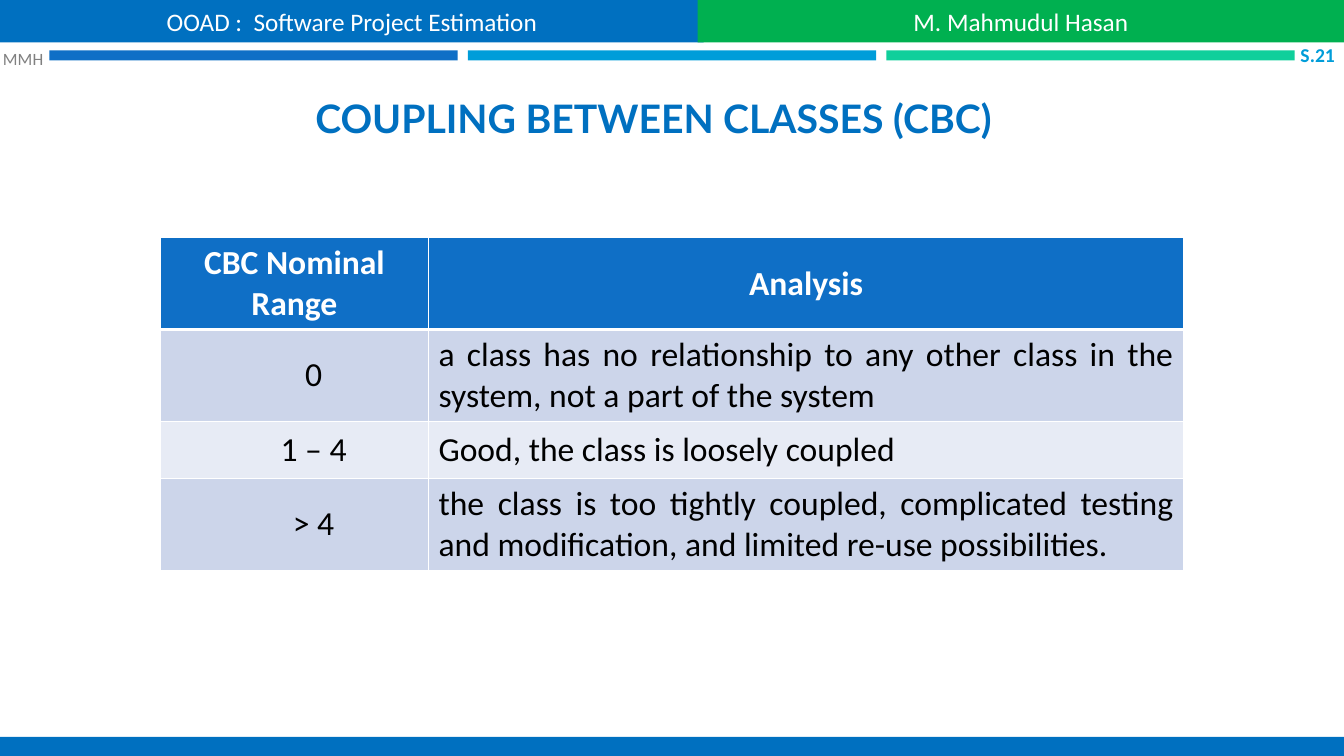
from dataclasses import dataclass
from lxml import etree
from pptx import Presentation
from pptx.dml.color import RGBColor
from pptx.enum.shapes import MSO_SHAPE
from pptx.enum.text import MSO_ANCHOR, PP_ALIGN
from pptx.oxml.ns import qn
from pptx.util import Inches, Pt

RECTANGLE = MSO_SHAPE.RECTANGLE
MIDDLE, BOTTOM = MSO_ANCHOR.MIDDLE, MSO_ANCHOR.BOTTOM
LEFT, CENTER, RIGHT, JUSTIFY = PP_ALIGN.LEFT, PP_ALIGN.CENTER, PP_ALIGN.RIGHT, PP_ALIGN.JUSTIFY


@dataclass(frozen=True)
class Theme:
    body_font: str = "Calibri"
    title_font: str = "Lato"
    blue: str = "0070C0"
    green: str = "00B050"
    deep_blue: str = "0F6FC6"
    sky: str = "009DD9"
    mint: str = "10CF9B"
    grey: str = "808080"
    white: str = "FFFFFF"
    black: str = "000000"
    band_dark: str = "CCD5EA"
    band_light: str = "E7EBF5"
    title_size: float = 28
    table_size: float = 24
    banner_size: float = 18
    number_size: float = 14
    initials_size: float = 12.3


THEME = Theme()

TITLE = "COUPLING BETWEEN CLASSES (CBC)"
BANNERS = [
    ("OOAD :  Software Project Estimation", 0, 6.98, THEME.blue),
    ("M. Mahmudul Hasan", 6.92, 6.41, THEME.green),
]
STRIPE_COLORS = [THEME.deep_blue, THEME.sky, THEME.mint]
MARGIN_LABELS = [
    ("MMH", (0.03, 0.43, 0.46, 0.3), LEFT, THEME.initials_size, THEME.grey, False),
    ("S.21", (12.8, 0.39, 0.44, 0.3), RIGHT, THEME.number_size, THEME.sky, True),
]
TABLE_ROWS = [
    ("CBC Nominal Range", "Analysis"),
    ("0", "a class has no relationship to any other class in the system, "
          "not a part of the system"),
    ("1 – 4", "Good, the class is loosely coupled"),
    ("> 4", "the class is too tightly coupled, complicated testing and modification, "
            "and limited re-use possibilities."),
]
COLUMN_WIDTHS = [2.66, 7.49]
ROW_HEIGHTS = [0.91, 0.91, 0.57, 0.91]
RANGE_INDENT = 0.48


def write(frame, text, size, color, align, bold=False, font=THEME.body_font, anchor=MIDDLE):
    frame.vertical_anchor = anchor
    paragraph = frame.paragraphs[0]
    paragraph.text = text
    paragraph.alignment = align
    paragraph.font.name = font
    paragraph.font.size = Pt(size)
    paragraph.font.bold = bold
    paragraph.font.color.rgb = RGBColor.from_string(color)


def add_bar(slide, left, top, width, height, color):
    shape = slide.shapes.add_shape(RECTANGLE, *map(Inches, (left, top, width, height)))
    shape.shadow.inherit = False
    shape.fill.solid()
    shape.fill.fore_color.rgb = RGBColor.from_string(color)
    shape.line.fill.background()
    return shape


def set_borders(cell, bottom_width, top_width):
    properties = cell._tc.get_or_add_tcPr()
    for side, width in (("L", 1), ("R", 1), ("T", top_width), ("B", bottom_width)):
        line = etree.SubElement(properties, qn(f"a:ln{side}"), w=str(Pt(width)))
        fill = etree.SubElement(line, qn("a:solidFill"))
        etree.SubElement(fill, qn("a:srgbClr"), val=THEME.white)


def add_range_table(slide):
    table = slide.shapes.add_table(
        len(TABLE_ROWS), len(COLUMN_WIDTHS), Inches(1.59), Inches(2.36),
        Inches(sum(COLUMN_WIDTHS)), Inches(sum(ROW_HEIGHTS))).table
    for column, width in zip(table.columns, COLUMN_WIDTHS):
        column.width = Inches(width)
    for row_index, (texts, height) in enumerate(zip(TABLE_ROWS, ROW_HEIGHTS)):
        table.rows[row_index].height = Inches(height)
        header = row_index == 0
        band = THEME.band_dark if row_index % 2 else THEME.band_light
        for column_index, text in enumerate(texts):
            cell = table.cell(row_index, column_index)
            set_borders(cell, 3 if header else 1, 3 if row_index == 1 else 1)
            cell.fill.solid()
            cell.fill.fore_color.rgb = RGBColor.from_string(THEME.deep_blue if header else band)
            cell.vertical_anchor = MIDDLE
            if not header and column_index == 0:
                cell.margin_left = Inches(RANGE_INDENT)
            write(cell.text_frame, text, THEME.table_size,
                  THEME.white if header else THEME.black,
                  CENTER if header or column_index == 0 else JUSTIFY, header)
            cell.vertical_anchor = MIDDLE


def main():
    presentation = Presentation()
    presentation.slide_width, presentation.slide_height = Inches(13.33), Inches(7.5)
    slide = presentation.slides.add_slide(presentation.slide_layouts[5])

    title = slide.shapes.title
    title.left, title.top, title.width, title.height = map(Inches, (0.45, 0.81, 12.06, 0.64))
    write(title.text_frame, TITLE, THEME.title_size, THEME.blue, CENTER, True,
          THEME.title_font, BOTTOM)

    for index, color in enumerate(STRIPE_COLORS):
        add_bar(slide, 0.49 + index * 4.15, 0.5, 4.05, 0.1, color)

    for text, box, align, size, color, bold in MARGIN_LABELS:
        frame = slide.shapes.add_textbox(*map(Inches, box)).text_frame
        frame.margin_left = frame.margin_right = frame.margin_top = frame.margin_bottom = 0
        frame.word_wrap = True
        write(frame, text, size, color, align, bold)

    for text, left, width, color in BANNERS:
        banner = add_bar(slide, left, 0, width, 0.42, color)
        write(banner.text_frame, text, THEME.banner_size, THEME.white, CENTER)

    add_bar(slide, 0, 7.31, 13.33, 0.19, THEME.blue)
    add_range_table(slide)
    presentation.save("out.pptx")


if __name__ == "__main__":
    main()
